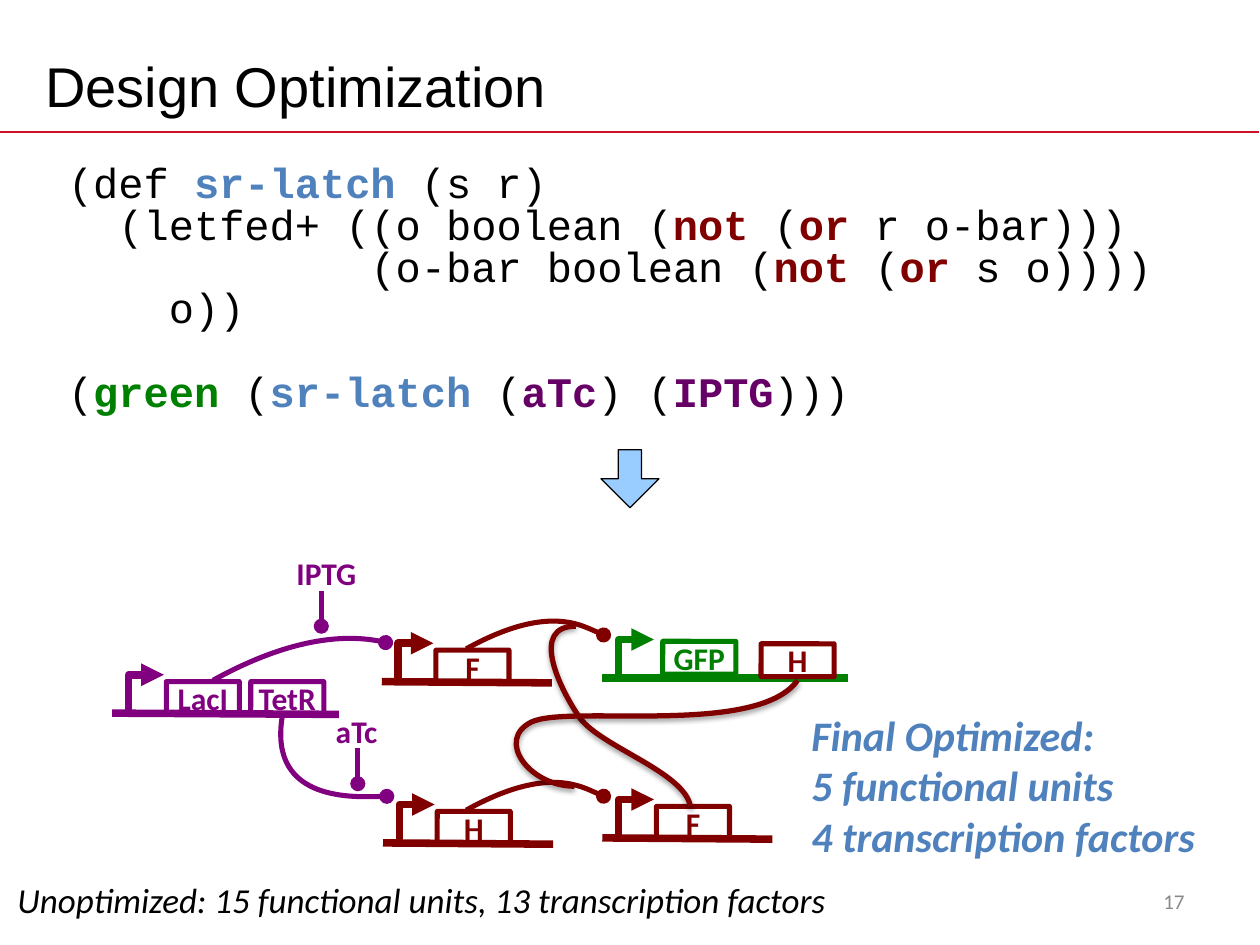
from typing import NamedTuple, Optional

from lxml.etree import SubElement
from pptx import Presentation
from pptx.dml.color import RGBColor as Rgb
from pptx.enum.shapes import MSO_CONNECTOR as Link, MSO_SHAPE as Kind
from pptx.enum.text import MSO_ANCHOR as Anchor, PP_ALIGN as Align
from pptx.oxml.ns import qn
from pptx.util import Inches, Pt

HUES = {
    "ink": "000000", "rule": "CE1126", "green": "008000", "red": "800000",
    "plum": "800080", "grape": "660066", "blue": "4F81BD", "sky": "99CCFF",
    "gray": "898989",
}
COLS, ROWS = 100, 75
THIN, THICK = 2.89, 4.31

deck = Presentation()
deck.slide_width, deck.slide_height = Inches(10), Inches(7.5)
slide = deck.slides.add_slide(deck.slide_layouts[6])
shapes = slide.shapes


class Run(NamedTuple):
    text: str
    hue: str = "ink"
    bold: bool = False
    slant: bool = False


class Note(NamedTuple):
    box: tuple
    lines: list
    size: float
    font: str = "Calibri"
    align: Align = Align.LEFT
    anchor: Anchor = Anchor.TOP
    inset: Optional[tuple] = None
    pitch: Optional[float] = None
    gap: Optional[int] = None


class Gene(NamedTuple):
    text: str
    hue: str
    dx: float = 4.3
    dy: float = -2.5


class Unit(NamedTuple):
    col: float
    row: float
    span: float
    hue: str
    genes: list


class Wire(NamedTuple):
    hue: str
    start: tuple
    curves: list
    width: float = THIN
    tail: Optional[str] = "oval"
    glow: bool = False


def x(col: float) -> int:
    return round(deck.slide_width * col / COLS)


def y(row: float) -> int:
    return round(deck.slide_height * row / ROWS)


def place(box: tuple) -> tuple:
    col, row, wide, high = box
    return x(col), y(row), x(wide), y(high)


def ink(hue: str) -> Rgb:
    return Rgb.from_string(HUES[hue])


def stroke(item, hue: str, width: float, tail: Optional[str] = None) -> None:
    item.line.color.rgb = ink(hue)
    item.line.width = Pt(width)
    if tail:
        SubElement(item.line._get_or_add_ln(), qn("a:tailEnd"), type=tail)


def fill_runs(para, runs: list, size: float, font: str) -> None:
    for part in runs:
        run = para.add_run()
        run.text = part.text
        face = run.font
        face.name, face.size = font, Pt(size)
        face.bold, face.italic = part.bold, part.slant
        face.color.rgb = ink(part.hue)


def set_inset(frame, inset: tuple) -> None:
    sides = [Inches(n) for n in inset]
    frame.margin_left, frame.margin_top, frame.margin_right, frame.margin_bottom = sides


def draw_note(note: Note) -> None:
    frame = shapes.add_textbox(*place(note.box)).text_frame
    frame.word_wrap = True
    frame.vertical_anchor = note.anchor
    if note.inset:
        set_inset(frame, note.inset)
    for i, runs in enumerate(note.lines):
        para = frame.add_paragraph() if i else frame.paragraphs[0]
        para.alignment = note.align
        if note.pitch:
            para.line_spacing = note.pitch
        if note.gap and i == note.gap:
            para.space_before = Pt(note.size)
        fill_runs(para, runs, note.size, note.font)


def draw_line(start: tuple, end: tuple, hue: str, width: float,
              tail: Optional[str] = None) -> None:
    line = shapes.add_connector(Link.STRAIGHT, x(start[0]), y(start[1]), x(end[0]), y(end[1]))
    stroke(line, hue, width, tail)
    SubElement(line._element.spPr, qn("a:effectLst"))


def draw_free(start: tuple, dots: list, hue: str, width: float, tail: Optional[str]):
    pen = shapes.build_freeform(x(start[0]), y(start[1]))
    pen.add_line_segments([(x(a), y(b)) for a, b in dots], close=False)
    item = pen.convert_to_shape()
    item.fill.background()
    item.shadow.inherit = False
    stroke(item, hue, width, tail)
    return item


def draw_wire(wire: Wire) -> None:
    dots = [dot for curve in wire.curves for dot in curve]
    item = draw_free(wire.start, dots, wire.hue, wire.width, wire.tail)
    steps = list(item._element.iter(qn("a:lnTo")))
    for i in range(0, len(steps), 3):
        bend = SubElement(steps[i].getparent(), qn("a:cubicBezTo"))
        for step in steps[i:i + 3]:
            bend.append(step[0])
            step.getparent().remove(step)
    if wire.glow:
        spread = item._element.spPr.find(qn("a:effectLst"))
        shade = SubElement(spread, qn("a:outerShdw"), blurRad=str(Pt(3.1)),
                           dist=str(Pt(1.6)), dir="5400000", rotWithShape="0")
        tint = SubElement(shade, qn("a:srgbClr"), val=HUES["ink"])
        SubElement(tint, qn("a:alpha"), val="38000")


def draw_gene(unit: Unit, gene: Gene) -> None:
    box = (unit.col + gene.dx, unit.row + gene.dy, 5.8, 2.6)
    item = shapes.add_shape(Kind.ROUNDED_RECTANGLE, *place(box))
    item.adjustments[0] = 0.01
    item.fill.background()
    item.shadow.inherit = False
    stroke(item, gene.hue, THIN)
    frame = item.text_frame
    frame.vertical_anchor = Anchor.MIDDLE
    set_inset(frame, (0, 0, 0, 0))
    para = frame.paragraphs[0]
    para.alignment = Align.CENTER
    fill_runs(para, [Run(gene.text, gene.hue, True)], 18, "Calibri")


def draw_unit(unit: Unit) -> None:
    col, row = unit.col, unit.row
    tilt = 0 if unit.hue == "green" else 0.1
    draw_line((col, row), (col + unit.span, row + tilt), unit.hue, THICK)
    left, top = col + 1.3, row - 3.05
    draw_free((left, top + 2.8), [(left, top), (left + 2.8, top)], unit.hue, THICK, "triangle")
    for gene in unit.genes:
        draw_gene(unit, gene)


def draw_drug(name: str, col: float, row: float, shift: float) -> None:
    draw_note(Note((col - 4 + shift, row - 2.9, 8, 3.4), [[Run(name, "plum", True)]], 18,
                   align=Align.CENTER, inset=(0, 0, 0, 0)))
    draw_line((col, row), (col, row + 2.8), "plum", THIN, "oval")


OPEN = Run("(")
LATCH = Run("sr-latch ", "blue", True)
NOR = [Run("not ", "red", True), OPEN, Run("or ", "red", True)]
CODE = [
    [Run("(def "), LATCH, Run("(s r)")],
    [Run("  (letfed+ ((o boolean ("), *NOR, Run("r o-bar)))")],
    [Run("            (o-bar boolean ("), *NOR, Run("s o))))")],
    [Run("    o))")],
    [OPEN, Run("green ", "green", True), OPEN, LATCH, OPEN, Run("aTc", "grape", True),
     Run(") ("), Run("IPTG", "grape", True), Run(")))")],
]
GOALS = ["Final Optimized:", "5 functional units", "4 transcription factors"]
NOTES = [
    Note((2.6, 3, 90, 7.5), [[Run("Design Optimization")]], 32, "Arial", anchor=Anchor.MIDDLE),
    Note((63.4, 55.8, 34.1, 13.1), [[Run(goal, "blue", True, True)] for goal in GOALS], 24),
    Note((4.5, 12.2, 89.7, 22.3), CODE, 24, "Courier New",
         inset=(0.09, 0.09, 0.09, 0.04), pitch=0.83, gap=4),
    Note((0.4, 69.2, 75.1, 4.4),
         [[Run("Unoptimized: 15 functional units, 13 transcription factors", slant=True)]], 20),
    Note((71.7, 69.5, 23.3, 4), [[Run("17", "gray")]], 12,
         align=Align.RIGHT, anchor=Anchor.MIDDLE),
]
UNITS = [
    Unit(8.9, 56.6, 18, "plum", [Gene("LacI", "plum"), Gene("TetR", "plum", 11)]),
    Unit(30.3, 54.1, 13.5, "red", [Gene("F", "red")]),
    Unit(47.8, 53.8, 19.5, "green",
         [Gene("GFP", "green", 4.8, -2.9), Gene("H", "red", 12.6, -2.7)]),
    Unit(30.4, 66.9, 13.5, "red", [Gene("H", "red")]),
    Unit(47.8, 66.5, 13.5, "red", [Gene("F", "red")]),
]
WIRES = [
    Wire("plum", (16.9, 54), [[(23.4, 50.4), (28.4, 50.4), (30.6, 51)]]),
    Wire("plum", (22.4, 56.9), [[(21.3, 63.8), (30.7, 63.2), (30.7, 63.2)]]),
    *[Wire("red", (37, row), [[(43.5, row - 3.6), (47.9, row - 1.1), (47.9, row - 1.1)]])
      for row in (51.5, 64.3)],
    Wire("red", (54.8, 64), [[(54.3, 61.2), (47.4, 59.2), (45.9, 56.8)],
                             [(44.3, 54.4), (42.1, 49.7), (45.7, 49.7)]], 3, None, True),
    Wire("red", (63.3, 54), [[(60.1, 58.5), (45.2, 55.9), (42.2, 57.3)],
                             [(39.3, 58.7), (42, 62.4), (45.6, 62.4)]], 3, None, True),
]

draw_line((0, 10.5), (99.9, 10.5), "rule", 1)
for unit in UNITS:
    draw_unit(unit)
for wire in WIRES:
    draw_wire(wire)
draw_drug("IPTG", 25.5, 46.9, 0.4)
draw_drug("aTc", 28.4, 59.4, -0.1)
for note in NOTES:
    draw_note(note)

arrow = shapes.add_shape(Kind.DOWN_ARROW, *place((47.7, 35.7, 4.6, 4.6)))
arrow.adjustments[0], arrow.adjustments[1] = 0.4, 0.5
arrow.fill.solid()
arrow.fill.fore_color.rgb = ink("sky")
arrow.shadow.inherit = False
stroke(arrow, "ink", 0.75)

deck.save("out.pptx")
